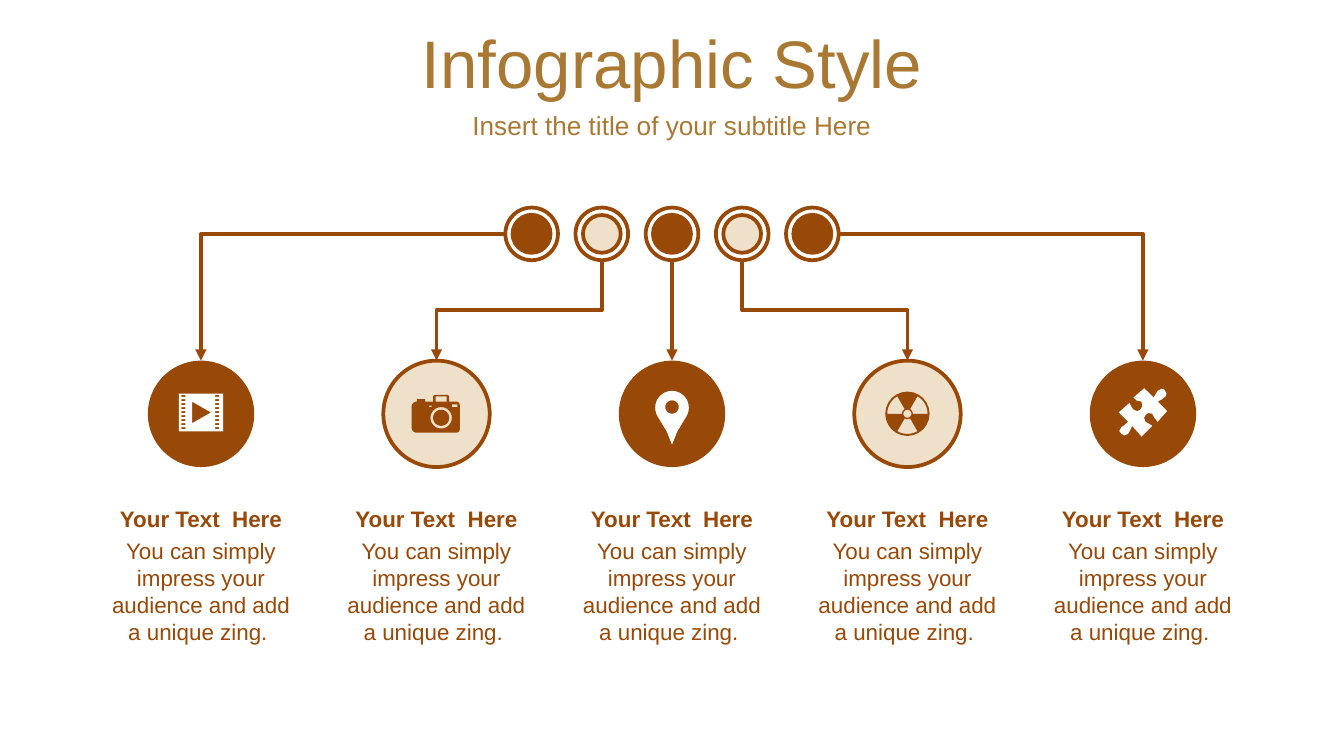
from math import cos, radians, sin
from lxml.etree import SubElement
from pptx import Presentation
from pptx.dml.color import RGBColor
from pptx.enum.shapes import MSO_CONNECTOR, MSO_SHAPE
from pptx.enum.text import MSO_ANCHOR, MSO_AUTO_SIZE, PP_ALIGN
from pptx.oxml.ns import qn
from pptx.util import Pt

HUES = {
    name: RGBColor.from_string(code)
    for name, code in {
        "gold": "A97933", "brown": "984807", "cream": "EFE0CA", "white": "FFFFFF",
    }.items()
}
MID, GAP, STEP = 360, 126.15, 37.6  # slide centre, column pitch, dot pitch
DOT_Y, DISC_Y = 125.3, 221.7
RING, DISC = 28.2, 57
UNIT = 0.72  # one icon grid unit


def arc(x, y, r, start=0, end=360):
    steps = [start + (end - start) * k / 24 for k in range(25)]
    return [(x + r * cos(radians(a)), y + r * sin(radians(a))) for a in steps]


def oval(x, y, size, fill=None, edge=False):
    disc = slide.shapes.add_shape(
        MSO_SHAPE.OVAL, Pt(x - size / 2), Pt(y - size / 2), Pt(size), Pt(size))
    disc.shadow.inherit = False
    if fill:
        disc.fill.solid()
        disc.fill.fore_color.rgb = HUES[fill]
    else:
        disc.fill.background()
    if edge:
        disc.line.color.rgb = HUES["brown"]
        disc.line.width = Pt(2)
    else:
        disc.line.fill.background()


deck = Presentation()
deck.slide_width, deck.slide_height = Pt(720), Pt(405)
slide = deck.slides.add_slide(deck.slide_layouts[0])

# Title and subtitle
heads = [("Infographic Style", 10.1, 45.4, 36),
         ("Insert the title of your subtitle Here", 55.4, 22.7, 14)]
for holder, (words, top, high, size) in zip(slide.placeholders, heads):
    holder.left, holder.top, holder.width, holder.height = 0, Pt(top), Pt(720), Pt(high)
    frame = holder.text_frame
    frame.auto_size = MSO_AUTO_SIZE.NONE
    frame.vertical_anchor = MSO_ANCHOR.MIDDLE
    para = frame.paragraphs[0]
    para.alignment = PP_ALIGN.CENTER
    para.space_before = Pt(0)
    run = para.add_run()
    run.text = words
    run.font.name, run.font.size = "Arial", Pt(size)
    run.font.color.rgb = HUES["gold"]

# Dots, discs and captions, column by column
notes = [("You can simply impress your audience and add a unique zing. ", 284.4, 65.5, False),
         ("Your Text  Here", 267.1, 21.6, True)]
for col in range(5):
    light = col % 2 == 1
    fill = "cream" if light else "brown"
    dot_x, mid_x = MID + (col - 2) * STEP, MID + (col - 2) * GAP
    oval(dot_x, DOT_Y, 20.2 if light else 22.4, fill, light)
    oval(dot_x, DOT_Y, RING, edge=True)
    oval(mid_x, DISC_Y, DISC, fill, light)
    for words, top, high, bold in notes:
        box = slide.shapes.add_textbox(Pt(mid_x - 59.4), Pt(top), Pt(118.8), Pt(high))
        box.text_frame.word_wrap = True
        para = box.text_frame.paragraphs[0]
        para.alignment = PP_ALIGN.CENTER
        run = para.add_run()
        run.text = words
        run.font.name, run.font.size, run.font.bold = "Arial", Pt(12), bold
        run.font.color.rgb = HUES["brown"]

# Icon outlines in grid units around each disc centre
film = [[(-16.5, -15), (16.5, -15), (16.5, 13), (-16.5, 13)],
        [(-6.5, -9), (-6.5, 7), (7.5, -1)]]
film += [[(x, y), (x + 3, y), (x + 3, y + 1.5), (x, y + 1.5)]
         for x in (-14.5, 10.5) for y in range(-14, 13, 3)]

body = [(-15.5, -9), (-14.5, -9), (-14.5, -11), (-8.5, -11), (-8.5, -9), (-2.5, -9),
        (-2.5, -13), (-1.5, -14), (8.5, -14), (9.5, -13), (9.5, -9), (15.5, -9),
        (17, -8), (17.5, -6), (17.5, 11), (17, 13), (15.5, 14), (-15.5, 14),
        (-17.5, 13), (-18.5, 11), (-18.5, -6), (-17.5, -8)]
camera = [body, arc(3.5, 3, 8), arc(3.5, 3, 6)]
camera += [[(l, t), (r, t), (r, b), (l, b)] for l, t, r, b in
           [(-0.5, -13, 7.5, -9), (-5.5, -6, -3.5, -5), (11.5, -7, 15.5, -5)]]

pin = [arc(0, -4.5, 12.5, 150, 390) + [(4, 13), (0, 23), (-4, 13)], arc(0, -5, 5)]

hazard = [arc(0, 0, 16.5), arc(0, 0, 3)]
hazard += [arc(0, 0, 15, a, a + 60) + arc(0, 0, 4, a + 60, a) for a in (60, 180, 300)]

puzzle = [[
    (16, -18), (17.6, -15.1), (17, -13), (14, -10.6), (11, -9), (18, -2), (11, 6),
    (8.6, 3), (7, 0), (4.1, -0.6), (2, 1), (0.9, 3.1), (2, 6), (4.5, 7.5), (7, 9),
    (-1, 17), (-8, 9), (-9.5, 12.4), (-11, 15), (-13.9, 16.1), (-16, 15),
    (-17.5, 12.9), (-16, 10), (-13.5, 8.4), (-11, 6), (-18, -1), (-10, -8),
    (-8.5, -5.1), (-7, -3), (-4.1, -1.9), (-2, -3), (-0.4, -5.6), (-1, -9),
    (-4.5, -9.8), (-7, -12), (1, -19), (8, -12), (9.5, -14.5), (11, -17), (13.9, -18.6)]]

for col, icon in enumerate([film, camera, pin, hazard, puzzle]):
    mid_x = MID + (col - 2) * GAP
    path = None
    for ring in icon:
        spots = [(Pt(mid_x + x * UNIT), Pt(DISC_Y + y * UNIT)) for x, y in ring]
        if path is None:
            path = slide.shapes.build_freeform(*spots[0])
        else:
            path.move_to(*spots[0])
        path.add_line_segments(spots[1:], close=True)
    shape = path.convert_to_shape()
    shape.shadow.inherit = False
    shape.fill.solid()
    shape.fill.fore_color.rgb = HUES["brown" if col % 2 else "white"]
    shape.line.fill.background()

# Arrows from dots to discs
low, high = DOT_Y + RING / 2, DISC_Y - DISC / 2
mid_y, drop = (low + high) / 2, high - low
for col in range(5):
    side = (col > 2) - (col < 2)
    dot_x, mid_x = MID + (col - 2) * STEP, MID + (col - 2) * GAP
    kind, turn = MSO_CONNECTOR.ELBOW, 0
    if col in (0, 4):
        ends = dot_x + side * RING / 2, DOT_Y, mid_x, high
    elif col == 2:
        kind, ends = MSO_CONNECTOR.STRAIGHT, (MID, low, MID, high)
    else:  # a quarter turn makes the elbow leave downwards
        turn = 90 if side < 0 else 270
        hub, span = (dot_x + mid_x) / 2, abs(mid_x - dot_x)
        ends = (hub + side * drop / 2, mid_y - span / 2,
                hub - side * drop / 2, mid_y + span / 2)
    link = slide.shapes.add_connector(kind, *[Pt(v) for v in ends])
    link.line.color.rgb = HUES["brown"]
    link.line.width = Pt(2)
    props = link._element.spPr
    if col in (0, 4):
        props.find(qn("a:prstGeom")).set("prst", "bentConnector2")
    if turn:
        props.find(qn("a:xfrm")).set("rot", str(turn * 60000))
    SubElement(props.find(qn("a:ln")), qn("a:tailEnd"), type="triangle")
    SubElement(props, qn("a:effectLst"))

deck.save("out.pptx")
